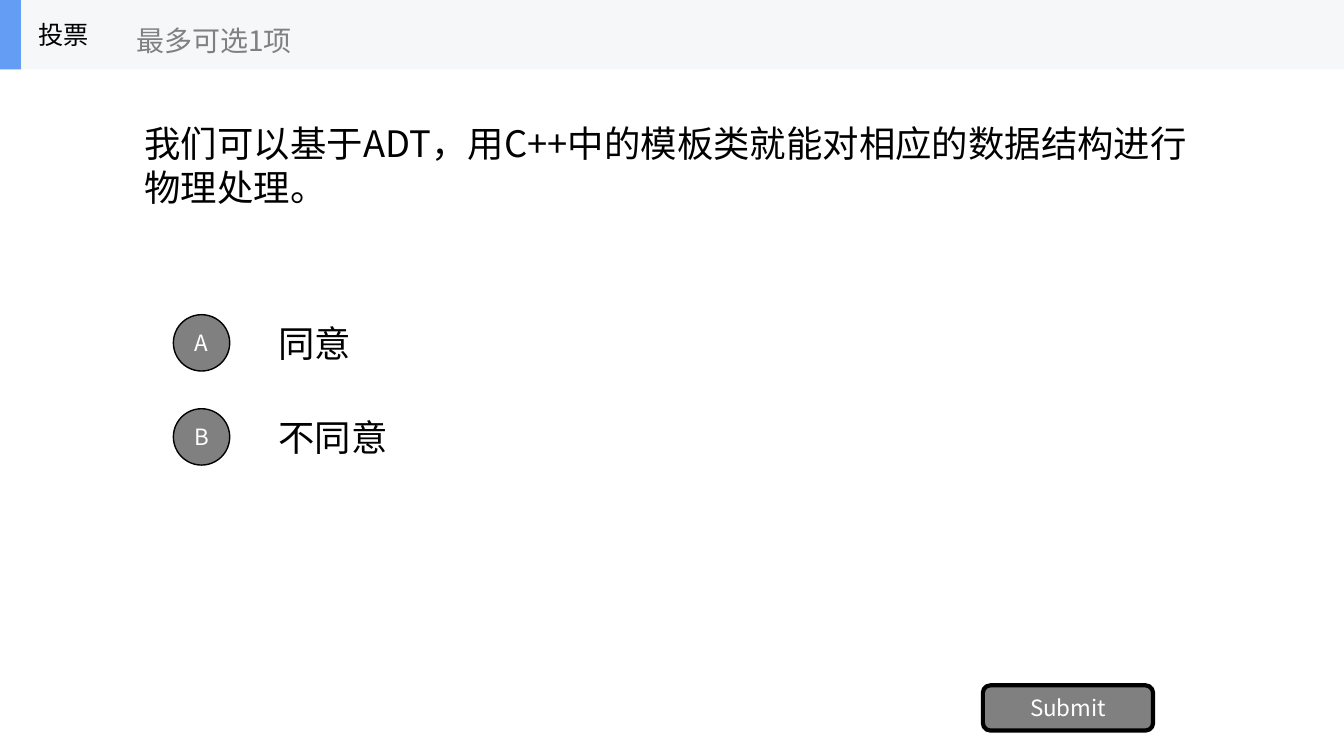
from dataclasses import dataclass

from lxml.etree import SubElement
from pptx import Presentation
from pptx.dml.color import RGBColor
from pptx.enum.shapes import MSO_SHAPE as Form
from pptx.enum.text import MSO_ANCHOR as Anchor, PP_ALIGN as Align
from pptx.oxml.ns import qn
from pptx.shapes.autoshape import Shape
from pptx.slide import Slide
from pptx.util import Cm, Pt

FONT = "Noto Sans CJK SC"
BLACK, GREY, WHITE = "000000", "808080", "FFFFFF"
WIDTH, HEIGHT, BAR = 33.87, 19.05, 1.75
TOP, STEP, ROW, DOT = 7.75, 2.37, 1.78, 1.42


@dataclass
class Box:
    """Place and size in centimetres."""
    left: float
    top: float
    width: float
    height: float

    def cm(self) -> list[Cm]:
        return [Cm(n) for n in (self.left, self.top, self.width, self.height)]


@dataclass
class Label:
    text: str
    box: Box
    size: int
    color: str = BLACK


@dataclass
class Block:
    form: Form
    box: Box
    fill: str
    line: float = 0
    text: str = ""


def rgb(color: str) -> RGBColor:
    return RGBColor.from_string(color)


def write(shape: Shape, text: str, size: int, color: str, align: Align) -> None:
    frame = shape.text_frame
    frame.text = text
    frame.word_wrap = True
    frame.vertical_anchor = Anchor.MIDDLE
    para = frame.paragraphs[0]
    para.alignment = align
    for run in para.runs:
        run.font.name = FONT
        run.font.size = Pt(size)
        run.font.color.rgb = rgb(color)
        SubElement(run.font._element, qn("a:ea"), typeface=FONT)


def add_label(slide: Slide, label: Label) -> None:
    shape = slide.shapes.add_textbox(*label.box.cm())
    write(shape, label.text, label.size, label.color, Align.LEFT)


def add_block(slide: Slide, block: Block) -> None:
    shape = slide.shapes.add_shape(block.form, *block.box.cm())
    shape.shadow.inherit = False
    shape.fill.solid()
    shape.fill.fore_color.rgb = rgb(block.fill)
    if block.line:
        shape.line.color.rgb = rgb(BLACK)
        shape.line.width = Pt(block.line)
    else:
        shape.line.fill.background()
    if block.text:
        frame = shape.text_frame
        frame.margin_left = frame.margin_right = 0
        frame.margin_top = frame.margin_bottom = 0
        write(shape, block.text, 16, WHITE, Align.CENTER)


def main() -> None:
    deck = Presentation()
    deck.slide_width, deck.slide_height = Cm(WIDTH), Cm(HEIGHT)
    slide = deck.slides.add_slide(deck.slide_layouts[6])

    blocks = [
        Block(Form.RECTANGLE, Box(0, 0, WIDTH, BAR), "F6F7F8"),
        Block(Form.RECTANGLE, Box(0, 0, 0.53, BAR), "639EF4"),
        Block(Form.ROUNDED_RECTANGLE, Box(24.77, 17.27, 4.29, 1.14),
              GREY, 3, "Submit"),
    ]
    labels = [
        Label("投票", Box(0.71, 0, 5.28, BAR), 18),
        Label("最多可选1项", Box(3.18, 0.3, 6.35, 1.42), 20, GREY),
        Label("我们可以基于ADT，用C++中的模板类就能对相应的数据结构进行物理处理。",
              Box(3.39, 1.19, 27.09, 5.94), 26),
    ]
    for i, (key, answer) in enumerate([("A", "同意"), ("B", "不同意")]):
        top = TOP + i * STEP
        dot = Box(4.37, top + (ROW - DOT) / 2, DOT, DOT)
        blocks.append(Block(Form.OVAL, dot, GREY, 1, key))
        labels.append(Label(answer, Box(6.77, top, 23.71, ROW), 26))

    for block in blocks:
        add_block(slide, block)
    for label in labels:
        add_label(slide, label)
    deck.save("out.pptx")


if __name__ == "__main__":
    main()
